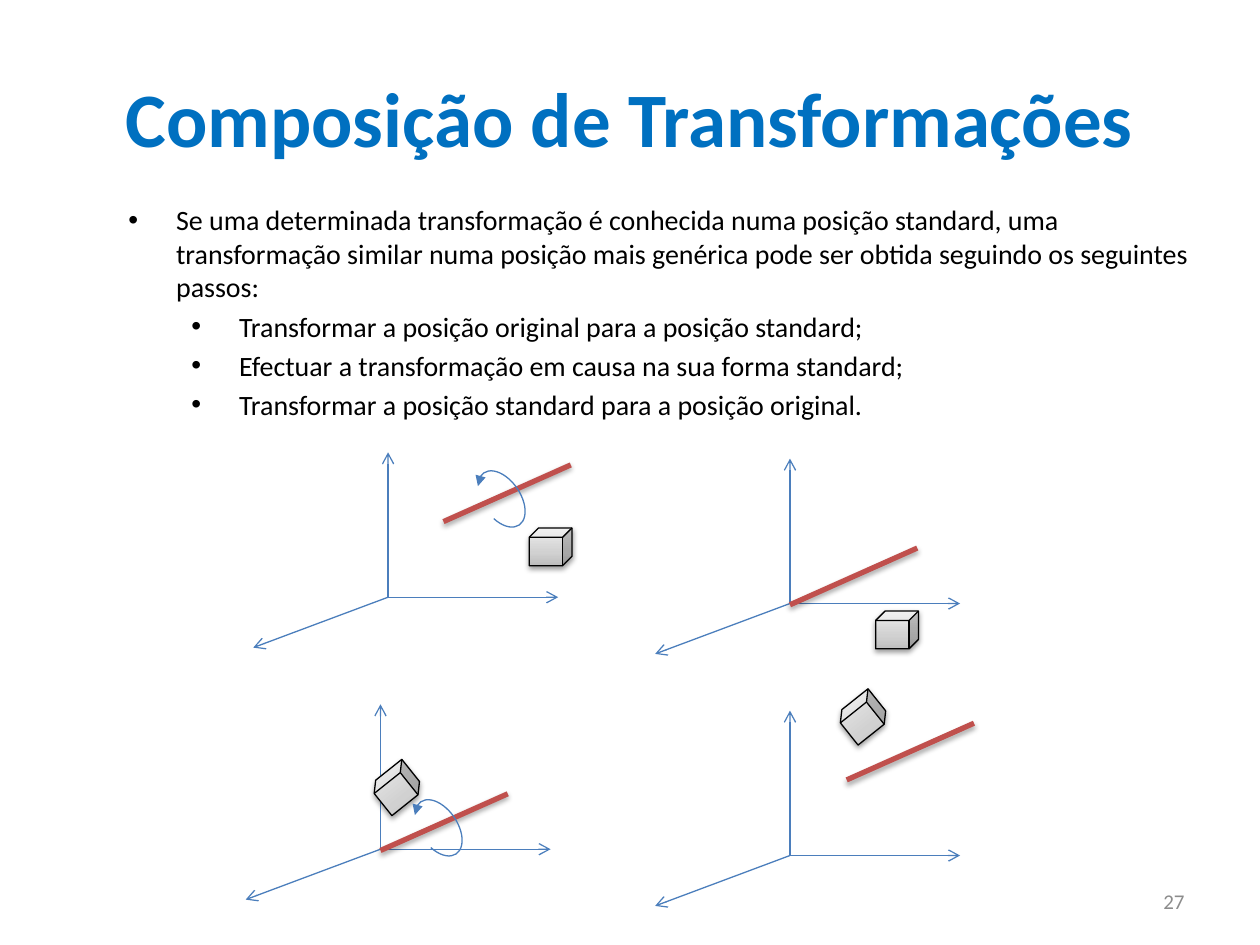
from lxml import etree
from pptx import Presentation
from pptx.dml.color import RGBColor
from pptx.enum.shapes import MSO_CONNECTOR as CONN, MSO_SHAPE as SHAPE
from pptx.enum.text import MSO_ANCHOR as ANCHOR, PP_ALIGN as ALIGN
from pptx.oxml.ns import qn
from pptx.util import Inches, Pt

TITLE = "Composição de Transformações"
PAGE = "27"
STEPS = [  # (level, text)
    (0, "Se uma determinada transformação é conhecida numa posição standard, uma "
        "transformação similar numa posição mais genérica pode ser obtida seguindo "
        "os seguintes passos:"),
    (1, "Transformar a posição original para a posição standard;"),
    (1, "Efectuar a transformação em causa na sua forma standard;"),
    (1, "Transformar a posição standard para a posição original."),
]
# Each stage: axes origin, start of rotation axis, cube corner, cube angle, turning arrow
STAGES = [
    dict(origin=(3.08, 4.74), bar=(3.52, 4.14), cube=(4.2, 4.19), angle=0, turn=True),
    dict(origin=(6.27, 4.79), bar=(6.27, 4.8), cube=(6.95, 4.85), angle=0, turn=False),
    dict(origin=(3.02, 6.74), bar=(3.02, 6.75), cube=(2.98, 6.1), angle=321.4, turn=True),
    dict(origin=(6.27, 6.79), bar=(6.72, 6.19), cube=(6.68, 5.54), angle=321.4, turn=False),
]
AXES = [(0, -1.15), (-1.07, 0.4), (1.35, 0)]
BAR = (1.01, -0.45)
TURN_OFFSET = (0.31, -0.43)
COLORS = dict(title="0070C0", text="000000", page="8C8C8C", axis="4B7EBC",
              bar="C0504D", edge="000000", shadow="000000")
CUBE_STOPS = [(0, "BDBDBD"), (35, "D1D1D1"), (100, "EEEEEE")]

prs = Presentation()
prs.slide_width, prs.slide_height = Inches(10), Inches(7.5)
slide = prs.slides.add_slide(prs.slide_layouts[6])


def sub(parent, tag, **attrs):
    return etree.SubElement(parent, qn(tag), {k: str(v) for k, v in attrs.items()})


def add_text(paragraphs, box, size, color, bold=False, align=ALIGN.LEFT,
             anchor=ANCHOR.TOP, bullets=False):
    frame = slide.shapes.add_textbox(*map(Inches, box)).text_frame
    frame.word_wrap = True
    frame.vertical_anchor = anchor
    for i, (level, text) in enumerate(paragraphs):
        par = frame.paragraphs[0] if i == 0 else frame.add_paragraph()
        par.alignment = align
        par.level = level
        if i:
            par.space_before = Pt(size * 0.2)
        if bullets:
            props = par._p.get_or_add_pPr()
            props.set("marL", str(Inches(0.38 + 0.5 * level)))
            props.set("indent", str(Inches(-0.38)))
            sub(props, "a:buFont", typeface="Arial")
            sub(props, "a:buChar", char="•")
        run = par.add_run()
        run.text = text
        run.font.name, run.font.size, run.font.bold = "Calibri", Pt(size), bold
        run.font.color.rgb = RGBColor.from_string(color)


def set_line(part, color, width, **ends):
    part.line.color.rgb = RGBColor.from_string(color)
    part.line.width = Pt(width)
    for end, kind in ends.items():
        sub(part.line._get_or_add_ln(), f"a:{end}", type=kind)


def set_shadow(part, alpha=None, distance=0):
    effects = sub(part._element.spPr, "a:effectLst")
    if alpha:
        outer = sub(effects, "a:outerShdw", blurRad=Pt(3.1), dist=Pt(distance),
                    dir=90 * 60000, rotWithShape=0)
        color = sub(outer, "a:srgbClr", val=COLORS["shadow"])
        sub(color, "a:alpha", val=alpha * 1000)


def add_line(shapes, start, offset, color, width, shadow=(), **ends):
    (x, y), (dx, dy) = start, offset
    line = shapes.add_connector(CONN.STRAIGHT, *map(Inches, (x, y, x + dx, y + dy)))
    set_line(line, color, width, **ends)
    set_shadow(line, *shadow)


def add_cube(shapes, corner, angle):
    cube = shapes.add_shape(SHAPE.CUBE, *map(Inches, (*corner, 0.34, 0.3)))
    cube.rotation = angle
    cube.fill.gradient()
    gradient = cube._element.spPr.find(qn("a:gradFill"))
    for child in list(gradient):
        gradient.remove(child)
    stops = sub(gradient, "a:gsLst")
    for position, color in CUBE_STOPS:
        sub(sub(stops, "a:gs", pos=position * 1000), "a:srgbClr", val=color)
    sub(gradient, "a:lin", ang=270 * 60000, scaled=1)
    set_line(cube, COLORS["edge"], 0.75)
    set_shadow(cube, 38, 1.6)


def add_turn(shapes, bar):
    x, y = bar[0] + TURN_OFFSET[0], bar[1] + TURN_OFFSET[1]
    turn = shapes.add_shape(SHAPE.ARC, *map(Inches, (x, y, 0.3, 0.5)))
    turn.adjustments[0], turn.adjustments[1] = 37.6, 195.35
    turn.rotation = 145.8
    turn.fill.background()
    set_line(turn, COLORS["axis"], 0.75, headEnd="triangle")
    set_shadow(turn)


# Title, page number and steps
add_text([(0, TITLE)], (0.5, 0.3, 9, 1.25), 44, COLORS["title"], bold=True,
         align=ALIGN.CENTER, anchor=ANCHOR.MIDDLE)
add_text([(0, PAGE)], (7.17, 6.95, 2.33, 0.4), 12, COLORS["page"],
         align=ALIGN.RIGHT, anchor=ANCHOR.MIDDLE)
add_text(STEPS, (0.92, 1.56, 8.84, 5.31), 16, COLORS["text"], bullets=True)

# The four stages of the transformation
drawing = slide.shapes.add_group_shape().shapes
for stage in STAGES:
    for axis in AXES:
        add_line(drawing, stage["origin"], axis, COLORS["axis"], 0.75, tailEnd="arrow")
    add_cube(drawing, stage["cube"], stage["angle"])
    add_line(drawing, stage["bar"], BAR, COLORS["bar"], 3, shadow=(35, 1.8))
    if stage["turn"]:
        add_turn(drawing, stage["bar"])

prs.save("out.pptx")
